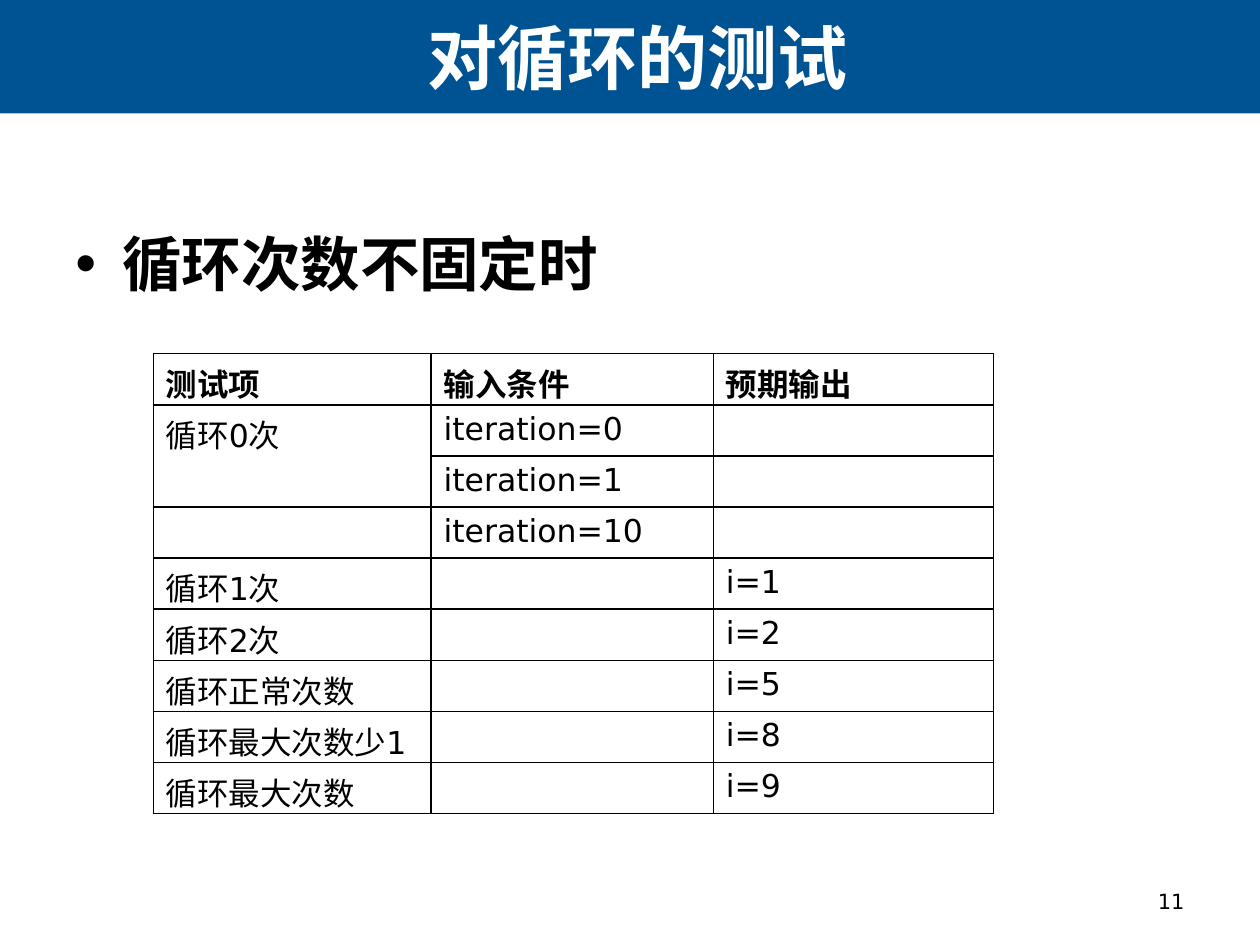
import pptx
import pptx.dml.color
import pptx.enum.shapes
import pptx.enum.text
import pptx.oxml
import pptx.oxml.ns
import pptx.util
from dataclasses import dataclass
from lxml import etree

Cm, Pt = pptx.util.Cm, pptx.util.Pt
RGB = pptx.dml.color.RGBColor.from_string
PP_ALIGN = pptx.enum.text.PP_ALIGN
ANCHOR = pptx.enum.text.MSO_ANCHOR
qn = pptx.oxml.ns.qn


@dataclass(frozen=True)
class Theme:
    band: str = "005392"
    title: str = "FFFFFF"
    ink: str = "000000"
    title_font: str = "Noto Sans CJK SC"
    bullet_font: str = "Arial"
    table_font: str = "DejaVu Sans"
    title_size: int = 40
    bullet_size: int = 34
    table_size: int = 18
    number_size: int = 12


theme = Theme()


def style(paragraph, face, size, color, bold=False):
    font = paragraph.font
    font.name, font.size, font.bold = face, Pt(size), bold
    font.color.rgb = RGB(color)


def add_borders(cell):
    properties = cell._tc.get_or_add_tcPr()
    for position, side in enumerate(("lnL", "lnR", "lnT", "lnB")):
        line = etree.Element(qn(f"a:{side}"), w=str(Pt(1)))
        fill = etree.SubElement(line, qn("a:solidFill"))
        etree.SubElement(fill, qn("a:srgbClr"), val=theme.ink)
        properties.insert(position, line)


deck = pptx.Presentation()
deck.slide_width, deck.slide_height = Cm(25.4), Cm(19.05)
slide = deck.slides.add_slide(deck.slide_layouts[5])

# Title band, behind the title
band = slide.shapes.add_shape(
    pptx.enum.shapes.MSO_SHAPE.RECTANGLE, 0, 0, deck.slide_width, Cm(2.29))
band.shadow.inherit = False
band.fill.solid()
band.fill.fore_color.rgb = RGB(theme.band)
band.line.fill.background()
slide.shapes._spTree.insert(2, band._element)

# Title
title = slide.shapes.title
title.left, title.top, title.width, title.height = Cm(0.15), 0, Cm(25.4), Cm(2.29)
title.text_frame.text = "对循环的测试"
title.text_frame.vertical_anchor = ANCHOR.MIDDLE
heading = title.text_frame.paragraphs[0]
heading.alignment = PP_ALIGN.CENTER
style(heading, theme.title_font, theme.title_size, theme.title, bold=True)

# Bullet
topic = slide.shapes.add_textbox(Cm(1.27), Cm(4.45), Cm(22.86), Cm(2))
topic.text_frame.word_wrap = True
topic_line = topic.text_frame.paragraphs[0]
topic_line.text = "循环次数不固定时"
indent = topic_line._p.get_or_add_pPr()
indent.set("marL", str(Cm(0.95)))
indent.set("indent", str(-Cm(0.95)))
etree.SubElement(indent, qn("a:buFont"), typeface=theme.bullet_font)
etree.SubElement(indent, qn("a:buChar"), char="•")
style(topic_line, theme.bullet_font, theme.bullet_size, theme.ink, bold=True)

# Test cases: item, input condition, expected output
cases = [
    ("测试项", "输入条件", "预期输出"),
    ("循环0次", "iteration=0", ""),
    ("", "iteration=1", ""),
    ("", "iteration=10", ""),
    ("循环1次", "", "i=1"),
    ("循环2次", "", "i=2"),
    ("循环正常次数", "", "i=5"),
    ("循环最大次数少1", "", "i=8"),
    ("循环最大次数", "", "i=9"),
]
column_widths = [5.6, 5.69, 5.65]
row_height = 1.03
test_table = slide.shapes.add_table(
    len(cases), len(column_widths), Cm(3.09), Cm(7.13),
    Cm(sum(column_widths)), Cm(row_height * len(cases))).table
test_table.horz_banding = False
for column, width in zip(test_table.columns, column_widths):
    column.width = Cm(width)
for row, case in enumerate(cases):
    test_table.rows[row].height = Cm(row_height)
    for column, wording in enumerate(case):
        cell = test_table.cell(row, column)
        cell.text = wording
        cell.fill.background()
        add_borders(cell)
        style(cell.text_frame.paragraphs[0], theme.table_font,
              theme.table_size, theme.ink, bold=row == 0)
test_table.cell(1, 0).merge(test_table.cell(2, 0))

# Slide number
number = slide.shapes.add_textbox(Cm(18.2), Cm(17.66), Cm(5.93), Cm(1.01))
number.text_frame.word_wrap = True
number.text_frame.vertical_anchor = ANCHOR.MIDDLE
number_line = number.text_frame.paragraphs[0]
number_line.text = "11"
number_line.alignment = PP_ALIGN.RIGHT
style(number_line, theme.table_font, theme.number_size, theme.ink)

deck.save("out.pptx")
